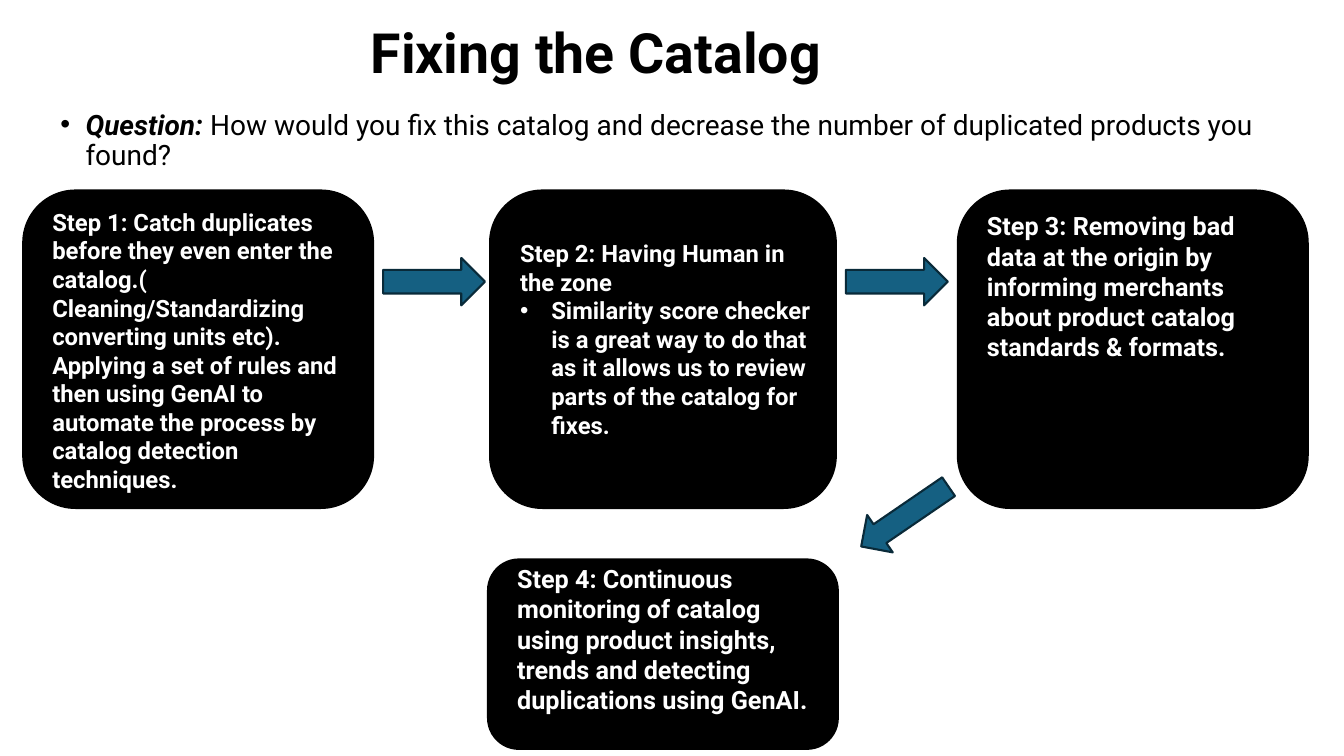
from dataclasses import dataclass

from lxml import etree
from pptx import Presentation
from pptx.dml.color import RGBColor
from pptx.enum.shapes import MSO_SHAPE
from pptx.enum.text import MSO_ANCHOR, PP_ALIGN
from pptx.oxml.ns import qn
from pptx.util import Inches, Pt

ROUNDED = MSO_SHAPE.FLOWCHART_ALTERNATE_PROCESS
RIGHT = MSO_SHAPE.RIGHT_ARROW
DOWN = MSO_SHAPE.DOWN_ARROW
MIDDLE = MSO_ANCHOR.MIDDLE
CENTER = PP_ALIGN.CENTER


@dataclass(frozen=True)
class Theme:
    font: str = "Roboto"
    ink: RGBColor = RGBColor(0x00, 0x00, 0x00)
    paper: RGBColor = RGBColor(0xFF, 0xFF, 0xFF)
    arrow: RGBColor = RGBColor(0x15, 0x60, 0x82)
    arrow_line: RGBColor = RGBColor(0x09, 0x2A, 0x39)
    title: float = 39.6
    question: float = 20
    step_small: float = 17
    step_large: float = 18


@dataclass(frozen=True)
class Box:
    left: float
    top: float
    width: float
    height: float

    def emu(self) -> list:
        return [Inches(v) for v in (self.left, self.top, self.width, self.height)]


@dataclass(frozen=True)
class Step:
    card: Box
    text: Box
    size: float
    lines: tuple
    bullets: tuple = ()


@dataclass(frozen=True)
class Arrow:
    box: Box
    kind: MSO_SHAPE
    rotation: float = 0


THEME = Theme()
CARD_TOP, CARD_HEIGHT = 1.88, 3.17
TEXT_WIDTH = 3.08

STEPS = (
    Step(Box(0.22, CARD_TOP, 3.49, CARD_HEIGHT), Box(0.42, 2.01, TEXT_WIDTH, 3.25), THEME.step_small,
         ("Step 1: Catch duplicates before they even enter the catalog.( "
          "Cleaning/Standardizing converting units etc).",
          "Applying a set of rules and then using GenAI to automate the process by "
          "catalog detection techniques.")),
    Step(Box(4.85, CARD_TOP, 3.45, CARD_HEIGHT), Box(5.06, 2.32, TEXT_WIDTH, 2.39), THEME.step_small,
         ("Step 2: Having Human in the zone",),
         ("Similarity score checker is a great way to do that as it allows us to "
          "review parts of the catalog for fixes.",)),
    Step(Box(9.49, CARD_TOP, 3.49, CARD_HEIGHT), Box(9.69, 2.04, TEXT_WIDTH, 1.62), THEME.step_large,
         ("Step 3: Removing bad data at the origin by informing merchants about "
          "product catalog standards & formats.",)),
    Step(Box(4.83, 5.54, 3.49, 1.9), Box(5.03, 5.54, TEXT_WIDTH, 1.92), THEME.step_large,
         ("Step 4: Continuous monitoring of catalog using product insights, trends "
          "and detecting duplications using GenAI.",)),
)

ARROWS = (
    Arrow(Box(3.8, 2.56, 1.01, 0.47), RIGHT),
    Arrow(Box(8.39, 2.56, 1.01, 0.47), RIGHT),
    Arrow(Box(8.75, 4.6, 0.45, 1.05), DOWN, 55.6),
)


def style_run(r, size: float, color: RGBColor, bold: bool = True, italic: bool = False) -> None:
    r.font.name = THEME.font
    r.font.size = Pt(size)
    r.font.color.rgb = color
    r.font.bold = bold
    r.font.italic = italic


def add_bullet(p, indent: float) -> None:
    pPr = p._p.get_or_add_pPr()
    pPr.set("marL", str(Inches(indent)))
    pPr.set("indent", str(-Inches(indent)))
    etree.SubElement(pPr, qn("a:buFont")).set("typeface", "Arial")
    etree.SubElement(pPr, qn("a:buChar")).set("char", "•")


def add_text_frame(slide, box: Box):
    tf = slide.shapes.add_textbox(*box.emu()).text_frame
    tf.word_wrap = True
    return tf


def add_block(slide, kind: MSO_SHAPE, box: Box, fill: RGBColor):
    sp = slide.shapes.add_shape(kind, *box.emu())
    sp.shadow.inherit = False
    sp.fill.solid()
    sp.fill.fore_color.rgb = fill
    sp.line.fill.background()
    return sp


def add_title(slide) -> None:
    tf = add_text_frame(slide, Box(0.98, 0.25, 9.86, 0.6))
    tf.vertical_anchor = MIDDLE
    p = tf.paragraphs[0]
    p.text = "Fixing the Catalog"
    p.alignment = CENTER
    p.line_spacing = 0.9
    style_run(p.runs[0], THEME.title, THEME.ink)


def add_question(slide) -> None:
    p = add_text_frame(slide, Box(0.5, 1.05, 12.34, 0.81)).paragraphs[0]
    p.text = "Question: "
    p.line_spacing = 0.9
    p.space_before = Pt(10)
    add_bullet(p, 0.25)
    style_run(p.runs[0], THEME.question, THEME.ink, italic=True)
    r = p.add_run()
    r.text = ("How would you fix this catalog and decrease the number of "
              "duplicated products you found?")
    style_run(r, THEME.question, THEME.ink, bold=False)


def add_arrow(slide, arrow: Arrow) -> None:
    sp = add_block(slide, arrow.kind, arrow.box, THEME.arrow)
    sp.line.color.rgb = THEME.arrow_line
    sp.line.width = Pt(1.5)
    sp.rotation = arrow.rotation


def add_step(slide, step: Step) -> None:
    add_block(slide, ROUNDED, step.card, THEME.ink)
    tf = add_text_frame(slide, step.text)
    tf.text = "\n".join(step.lines + step.bullets)
    for p in tf.paragraphs:
        style_run(p.runs[0], step.size, THEME.paper)
    for p in tf.paragraphs[len(step.lines):]:
        add_bullet(p, 0.31)


def main() -> None:
    prs = Presentation()
    prs.slide_width = Inches(13.33)
    prs.slide_height = Inches(7.5)
    slide = prs.slides.add_slide(prs.slide_layouts[6])
    add_title(slide)
    add_question(slide)
    for step in STEPS:
        add_step(slide, step)
    for arrow in ARROWS:
        add_arrow(slide, arrow)
    prs.save("out.pptx")


if __name__ == "__main__":
    main()
